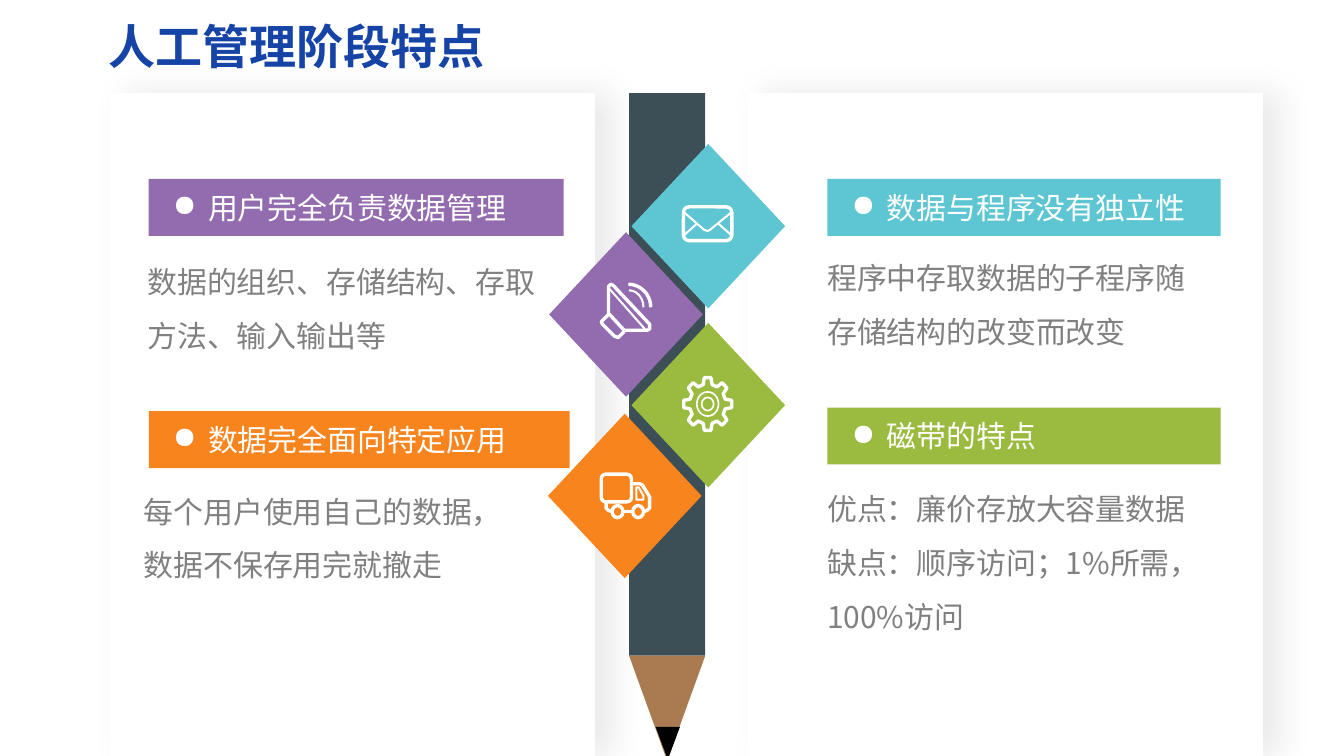
"""Build the slide on the traits of the manual data management stage."""
import math

import lxml.etree
import pptx
import pptx.dml.color
import pptx.enum.shapes
import pptx.enum.text
import pptx.oxml.ns
import pptx.util

Inches = pptx.util.Inches
Pt = pptx.util.Pt
RGBColor = pptx.dml.color.RGBColor
SHAPE = pptx.enum.shapes.MSO_SHAPE
ANCHOR = pptx.enum.text.MSO_ANCHOR
qn = pptx.oxml.ns.qn

FONT = "Noto Sans CJK SC"
WHITE = RGBColor(0xFF, 0xFF, 0xFF)
BLACK = RGBColor(0, 0, 0)
GRAY = RGBColor(0x80, 0x80, 0x80)
BLUE = RGBColor(0x15, 0x43, 0xA6)
SLATE = RGBColor(0x3C, 0x4E, 0x56)
WOOD = RGBColor(0xAA, 0x7B, 0x51)
ORANGE = RGBColor(0xF8, 0x84, 0x1D)
CYAN = RGBColor(0x5E, 0xC6, 0xD3)
GREEN = RGBColor(0x9B, 0xBB, 0x40)
PURPLE = RGBColor(0x93, 0x6C, 0xAF)

TITLE = "人工管理阶段特点"
PANELS = [(6.18, 0.77, 4.26, 5.48), (0.91, 0.77, 4.01, 5.48)]
PENCIL = [
    (SHAPE.RECTANGLE, (5.2, 0.77, 0.63, 4.65), SLATE, 0),
    (SHAPE.ISOSCELES_TRIANGLE, (5.2, 5.42, 0.63, 0.87), WOOD, 180),
    (SHAPE.ISOSCELES_TRIANGLE, (5.42, 6.01, 0.2, 0.27), BLACK, 180),
]
TOPICS = [
    ("数据完全面向特定应用", ORANGE, (1.23, 3.4, 3.48, 0.47),
     ["每个用户使用自己的数据，数据不保存用完就撤走"], (1.09, 3.88, 3.26, 0.95)),
    ("用户完全负责数据管理", PURPLE, (1.23, 1.48, 3.43, 0.47),
     ["数据的组织、存储结构、存取方法、输入输出等"], (1.12, 1.98, 3.48, 0.95)),
    ("磁带的特点", GREEN, (6.84, 3.37, 3.25, 0.47),
     ["优点：廉价存放大容量数据", "缺点：顺序访问；1%所需，100%访问"],
     (6.74, 3.86, 3.25, 1.39)),
    ("数据与程序没有独立性", CYAN, (6.84, 1.48, 3.25, 0.47),
     ["程序中存取数据的子程序随存储结构的改变而改变"], (6.74, 1.95, 3.25, 0.95)),
]

GEAR_CENTER = (5.85, 3.34)
GEAR_TEETH = 8
THICK, THIN = 2, 1.2


def gear_outline():
    """Return the corner points of the gear, tooth by tooth."""
    points = []
    for tooth in range(GEAR_TEETH):
        for offset, radius in ((-14, 0.15), (-8, 0.2), (8, 0.2), (14, 0.15)):
            angle = math.radians(tooth * 360 / GEAR_TEETH + offset)
            points.append((GEAR_CENTER[0] + radius * math.sin(angle),
                           GEAR_CENTER[1] - 1.1 * radius * math.cos(angle)))
    return points


def ring(center, width, height):
    """Return the box of an ellipse around a center."""
    return (center[0] - width / 2, center[1] - height / 2, width, height)


TRUCK = {
    "shapes": [(SHAPE.ROUNDED_RECTANGLE, (4.97, 3.92, 0.25, 0.23), THICK),
               (SHAPE.OVAL, (5.06, 4.18, 0.09, 0.1), THICK),
               (SHAPE.OVAL, (5.23, 4.18, 0.09, 0.1), THICK)],
    "paths": [([(5.22, 4), (5.29, 4), (5.31, 4.01), (5.36, 4.09), (5.37, 4.11),
                (5.37, 4.2), (5.35, 4.22), (5.32, 4.23)], False, THICK),
              ([(5.01, 4.15), (5.01, 4.2), (5.03, 4.22), (5.06, 4.23)], False, THICK),
              ([(5.15, 4.23), (5.23, 4.23)], False, THICK),
              ([(5.26, 4.03), (5.28, 4.03), (5.32, 4.1), (5.32, 4.13),
                (5.26, 4.13)], True, THIN)],
}
ENVELOPE = {
    "shapes": [(SHAPE.ROUNDED_RECTANGLE, (5.65, 1.71, 0.4, 0.28), THICK)],
    "paths": [([(5.66, 1.76), (5.82, 1.9), (5.85, 1.91), (5.87, 1.9),
                (6.04, 1.76)], False, THIN),
              ([(5.66, 1.94), (5.76, 1.85)], False, THIN),
              ([(5.94, 1.85), (6.04, 1.94)], False, THIN)],
}
GEAR = {
    "shapes": [(SHAPE.OVAL, ring(GEAR_CENTER, 0.18, 0.2), 1),
               (SHAPE.OVAL, ring(GEAR_CENTER, 0.1, 0.11), 1)],
    "paths": [(gear_outline(), True, THICK)],
}
SPEAKER = {
    "shapes": [(SHAPE.ARC, (5.01, 2.35, 0.37, 0.38), THICK),
               (SHAPE.ARC, (5.08, 2.4, 0.24, 0.28), THIN)],
    "paths": [([(5.03, 2.37), (5.05, 2.35), (5.07, 2.36), (5.37, 2.68),
                (5.37, 2.72), (5.35, 2.73), (5.16, 2.73), (5.03, 2.59)], True, THICK),
              ([(5.03, 2.6), (4.97, 2.66), (4.98, 2.68), (5.08, 2.78),
                (5.11, 2.79), (5.16, 2.74)], False, THICK),
              ([(5.04, 2.39), (5.34, 2.73)], False, THIN)],
}
DIAMOND_SIZE = (1.27, 1.36)
DIAMONDS = [(4.53, 3.42, ORANGE, TRUCK), (5.22, 1.19, CYAN, ENVELOPE),
            (5.22, 2.67, GREEN, GEAR), (4.54, 1.92, PURPLE, SPEAKER)]


def add_filled(page, kind, place, color, rotation=0):
    """Add a borderless preset shape."""
    shape = page.shapes.add_shape(kind, *map(Inches, place))
    shape.shadow.inherit = False
    shape.fill.solid()
    shape.fill.fore_color.rgb = color
    shape.line.fill.background()
    shape.rotation = rotation
    return shape


def add_soft_shadow(shape):
    """Give a panel a faint shadow falling to the right."""
    effects = shape._element.spPr.find(qn("a:effectLst"))
    shadow = lxml.etree.SubElement(effects, qn("a:outerShdw"), blurRad=str(Pt(20)),
                                   dist=str(Pt(10)), dir="0", algn="ctr", rotWithShape="0")
    color = lxml.etree.SubElement(shadow, qn("a:srgbClr"), val="262626")
    lxml.etree.SubElement(color, qn("a:alpha"), val="10000")


def style_stroke(shape, width):
    """Draw a shape as a white outline with round joins."""
    shape.line.color.rgb = WHITE
    shape.line.width = Pt(width)
    properties = shape._element.spPr
    lxml.etree.SubElement(properties.find(qn("a:ln")), qn("a:round"))
    if properties.find(qn("a:effectLst")) is None:
        lxml.etree.SubElement(properties, qn("a:effectLst"))


def add_icon(page, icon):
    """Draw the outlines of one icon."""
    for kind, place, width in icon["shapes"]:
        shape = page.shapes.add_shape(kind, *map(Inches, place))
        shape.fill.background()
        style_stroke(shape, width)
    for points, closed, width in icon["paths"]:
        corners = [(Inches(x), Inches(y)) for x, y in points]
        if len(corners) == 2:
            line = page.shapes.add_connector(
                pptx.enum.shapes.MSO_CONNECTOR.STRAIGHT, *corners[0], *corners[1])
        else:
            builder = page.shapes.build_freeform(*corners[0])
            builder.add_line_segments(corners[1:], close=closed)
            line = builder.convert_to_shape()
            line.fill.background()
        style_stroke(line, width)


def write(box, lines, size=17.8, color=GRAY, bold=False, spacing=1.0,
          anchor=ANCHOR.TOP, margins=(0.1, 0.05), bullet=None):
    """Write lines of text into a box."""
    frame = box.text_frame
    frame.word_wrap = True
    frame.vertical_anchor = anchor
    frame.margin_left = frame.margin_right = Inches(margins[0])
    frame.margin_top = frame.margin_bottom = Inches(margins[1])
    for index, line in enumerate(lines):
        para = frame.add_paragraph() if index else frame.paragraphs[0]
        para.alignment = pptx.enum.text.PP_ALIGN.LEFT
        para.line_spacing = spacing
        if bullet:
            properties = para._p.get_or_add_pPr()
            properties.set("marL", str(Inches(0.49)))
            properties.set("indent", str(Inches(-0.29)))
            lxml.etree.SubElement(properties, qn("a:buChar"), char=bullet)
        span = para.add_run()
        span.text = line
        span.font.size = Pt(size)
        span.font.bold = bold
        span.font.color.rgb = color
        span.font.name = FONT
        lxml.etree.SubElement(span.font._element, qn("a:ea"), typeface=FONT)


def main():
    """Compose and save the deck."""
    deck = pptx.Presentation()
    deck.slide_width, deck.slide_height = Inches(11.11), Inches(6.25)
    page = deck.slides.add_slide(deck.slide_layouts[6])
    for place in PANELS:
        add_soft_shadow(add_filled(page, SHAPE.RECTANGLE, place, WHITE))
    for kind, place, color, rotation in PENCIL:
        add_filled(page, kind, place, color, rotation)
    for left, top, color, icon in DIAMONDS:
        add_filled(page, SHAPE.DIAMOND, (left, top, *DIAMOND_SIZE), color)
        add_icon(page, icon)
    for heading, color, bar, body, place in TOPICS:
        write(page.shapes.add_textbox(*map(Inches, place)), body, spacing=1.5)
        write(add_filled(page, SHAPE.RECTANGLE, bar, color), [heading], color=WHITE,
              anchor=ANCHOR.MIDDLE, margins=(0, 0), bullet="●")
    title = page.shapes.add_textbox(*map(Inches, (0.79, 0.12, 9.99, 0.57)))
    write(title, [TITLE], size=28, color=BLUE, bold=True, spacing=0.9,
          anchor=ANCHOR.MIDDLE, margins=(0.11, 0.06))
    deck.save("out.pptx")


if __name__ == "__main__":
    main()
